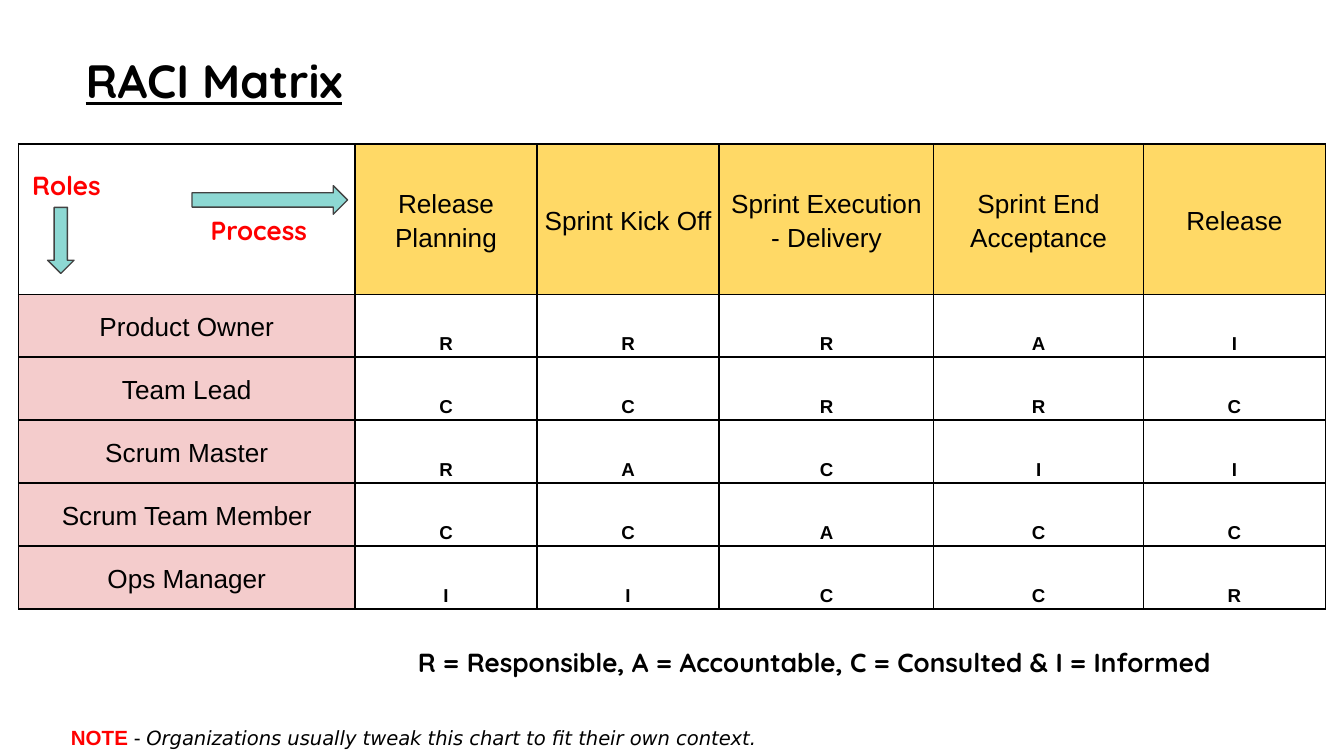
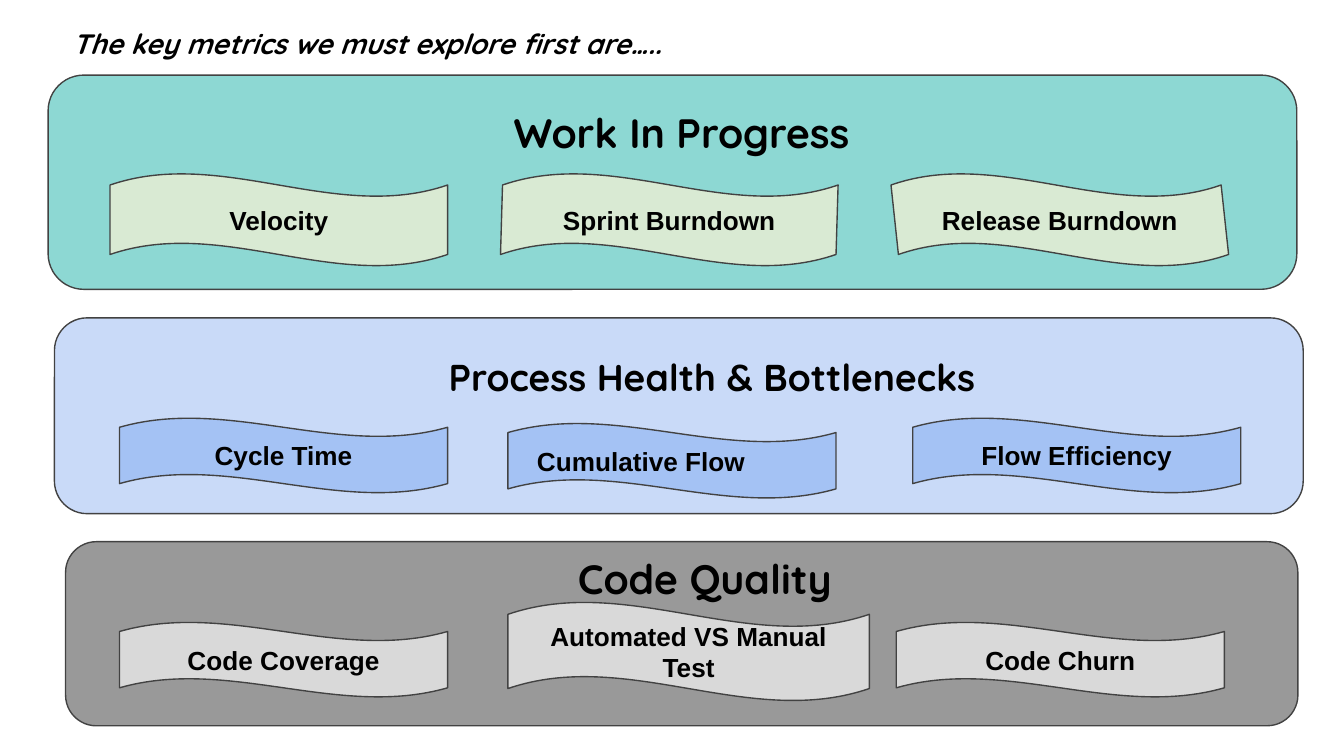
import dataclasses

import pptx
import pptx.dml.color
import pptx.enum.shapes
import pptx.enum.text
import pptx.oxml
import pptx.oxml.ns
import pptx.util

Cm = pptx.util.Cm
Pt = pptx.util.Pt
Shape = pptx.enum.shapes.MSO_SHAPE
Align = pptx.enum.text.PP_ALIGN
Anchor = pptx.enum.text.MSO_ANCHOR
Fit = pptx.enum.text.MSO_AUTO_SIZE


@dataclasses.dataclass(frozen=True)
class Theme:
    black: str = "000000"
    red: str = "FF0000"
    edge: str = "424242"
    teal: str = "8DD8D3"
    gold: str = "FFD966"
    pink: str = "F4CCCC"
    green: str = "D9EAD3"
    pale: str = "C9DAF8"
    blue: str = "A4C2F4"
    gray: str = "999999"
    silver: str = "D9D9D9"
    head: str = "Quicksand"
    body: str = "Arial"
    note: str = "DejaVu Sans"
    title: float = 25
    large: float = 22
    medium: float = 20
    lead: float = 15
    label: float = 14
    foot: float = 11
    quote: float = 10.5
    mark: float = 10
    rule: float = 0.75
    inset: float = 0.25


THEME = Theme()

STEPS = ["Release Planning", "Sprint Kick Off", "Sprint Execution - Delivery",
         "Sprint End Acceptance", "Release"]
ROLES = [
    ("Product Owner", "RRRAI"),
    ("Team Lead", "CCRRC"),
    ("Scrum Master", "RACII"),
    ("Scrum Team Member", "CCACC"),
    ("Ops Manager", "IICCR"),
]


def tint(name):
    return pptx.dml.color.RGBColor.from_string(name)


def style(run, size, face=THEME.body, color=THEME.black, bold=True,
          slant=False, under=False):
    font = run.font
    font.size = Pt(size)
    font.name = face
    font.color.rgb = tint(color)
    font.bold = bold
    font.italic = slant
    font.underline = under


def pad(frame, left=THEME.inset, right=THEME.inset):
    frame.word_wrap = True
    frame.margin_left = Cm(left)
    frame.margin_right = Cm(right)
    frame.margin_top = frame.margin_bottom = Cm(THEME.inset)


def add_box(slide, place, left=THEME.inset):
    box = slide.shapes.add_textbox(*map(Cm, place))
    frame = box.text_frame
    pad(frame, left)
    frame.auto_size = Fit.SHAPE_TO_FIT_TEXT
    return frame


def add_text(slide, text, place, size, align=Align.LEFT,
             left=THEME.inset, **look):
    frame = add_box(slide, place, left)
    frame.text = text
    line = frame.paragraphs[0]
    line.alignment = align
    style(line.runs[0], size, THEME.head, **look)


def add_note(slide, parts, place):
    line = add_box(slide, place).paragraphs[0]
    line.line_spacing = 1.15
    for text, look in parts:
        run = line.add_run()
        run.text = text
        style(run, **look)


def add_form(slide, kind, place, fill):
    form = slide.shapes.add_shape(kind, *map(Cm, place))
    form.shadow.inherit = False
    form.fill.solid()
    form.fill.fore_color.rgb = tint(fill)
    form.line.color.rgb = tint(THEME.edge)
    form.line.width = Pt(THEME.rule)
    return form


def add_wave(slide, text, place, fill, skew=0, right=THEME.inset):
    wave = add_form(slide, Shape.WAVE, place, fill)
    wave.adjustments[1] = skew
    frame = wave.text_frame
    pad(frame, right=right)
    frame.vertical_anchor = Anchor.MIDDLE
    frame.text = text
    line = frame.paragraphs[0]
    line.alignment = Align.CENTER
    style(line.runs[0], THEME.label)


def add_panel(slide, place, fill, title, spot, size, waves, shade):
    add_form(slide, Shape.ROUNDED_RECTANGLE, place, fill)
    for text, area, look in waves:
        add_wave(slide, text, area, shade, **look)
    add_text(slide, title, spot, size, Align.CENTER)


def add_edges(cell):
    props = cell._tc.get_or_add_tcPr()
    for side in "LRTB":
        props.append(pptx.oxml.parse_xml(
            f'<a:ln{side} {pptx.oxml.ns.nsdecls("a")} w="{Pt(THEME.rule)}">'
            f'<a:solidFill><a:srgbClr val="{THEME.black}"/></a:solidFill>'
            f'</a:ln{side}>'))


def fill_cell(cell, text, fill):
    add_edges(cell)
    cell.margin_left = cell.margin_right = Cm(0.08)
    cell.margin_top = cell.margin_bottom = Cm(0.05)
    if fill:
        cell.fill.solid()
        cell.fill.fore_color.rgb = tint(fill)
    else:
        cell.fill.background()
    if not text:
        return
    cell.vertical_anchor = Anchor.MIDDLE if fill else Anchor.BOTTOM
    cell.text = text
    line = cell.text_frame.paragraphs[0]
    line.alignment = Align.CENTER
    line.line_spacing = 1.15
    style(line.runs[0], THEME.label if fill else THEME.mark, bold=not fill)


def add_grid(slide, left, top, widths, heights):
    place = map(Cm, (left, top, sum(widths), sum(heights)))
    grid = slide.shapes.add_table(len(heights), len(widths), *place).table
    grid.first_row = grid.horz_banding = False
    for col, width in zip(grid.columns, widths):
        col.width = Cm(width)
    for row, height in zip(grid.rows, heights):
        row.height = Cm(height)
    lines = [["", *STEPS]] + [[role, *marks] for role, marks in ROLES]
    for r, line in enumerate(lines):
        for c, text in enumerate(line):
            fill = None
            if r == 0 and c > 0:
                fill = THEME.gold
            elif r > 0 and c == 0:
                fill = THEME.pink
            fill_cell(grid.cell(r, c), text, fill)


def build_matrix(slide):
    add_grid(slide, 0.35, 2.72, [6.36, 3.44, 3.44, 4.06, 3.96, 3.44],
             [2.84] + [1.19] * len(ROLES))
    add_text(slide, "R = Responsible, A = Accountable, C = Consulted & I = Informed",
             (2.11, 11.96, 21.79, 1.12), THEME.label, left=5.79)
    add_form(slide, Shape.RIGHT_ARROW, (3.63, 3.51, 2.94, 0.54), THEME.teal)
    add_form(slide, Shape.DOWN_ARROW, (0.9, 3.92, 0.5, 1.25), THEME.teal)
    add_text(slide, "Roles", (0.36, 2.95, 2.18, 1.12), THEME.label, color=THEME.red)
    add_text(slide, "Process", (3.73, 3.81, 2.64, 1.12), THEME.label, color=THEME.red)
    add_text(slide, "RACI Matrix", (1.37, 0.74, 17.4, 1.57), THEME.title, under=True)
    add_note(slide, [
        ("NOTE", dict(size=THEME.foot, color=THEME.red)),
        (" - ", dict(size=THEME.foot, bold=False)),
        ("Organizations usually tweak this chart to fit their own context.",
         dict(size=THEME.quote, face=THEME.note, bold=False, slant=True)),
    ], (1.09, 13.39, 18.06, 1.65))


def build_metrics(slide):
    add_text(slide, "The key metrics we must explore first are…..",
             (1.12, 0.25, 18.11, 1.14), THEME.lead, slant=True)
    wide, small = (6.38, 1.75), (6.2, 1.42)
    work = [("Velocity", 0), ("Sprint Burndown", -0.003), ("Release Burndown", 0.011)]
    add_panel(slide, (0.91, 1.42, 23.6, 4.05), THEME.teal,
              "Work In Progress", (6.1, 1.78, 13.56, 1.45), THEME.large,
              [(text, (2.08 + 7.38 * i, 3.28, *wide), dict(skew=skew))
               for i, (text, skew) in enumerate(work)], THEME.green)
    add_panel(slide, (1.03, 6.01, 23.6, 3.7), THEME.pale,
              "Process Health & Bottlenecks", (8.15, 6.45, 10.62, 1.37), THEME.medium,
              [("Cycle Time", (2.26, 7.9, *small), {}),
               ("Cumulative Flow", (9.6, 8, *small), dict(right=1.42)),
               ("Flow Efficiency", (17.25, 7.9, *small), {})], THEME.blue)
    add_panel(slide, (1.24, 10.24, 23.29, 3.48), THEME.gray,
              "Code Quality", (9.8, 10.21, 7.04, 1.45), THEME.large,
              [("Code Coverage", (2.26, 11.76, *small), {}),
               ("Automated VS Manual Test", (9.6, 11.38, 6.83, 1.87), {}),
               ("Code Churn", (16.94, 11.76, *small), {})], THEME.silver)


def main():
    deck = pptx.Presentation()
    deck.slide_width = Cm(25.4)
    deck.slide_height = Cm(14.29)
    for build in (build_matrix, build_metrics):
        build(deck.slides.add_slide(deck.slide_layouts[6]))
    deck.save("out.pptx")


if __name__ == "__main__":
    main()
